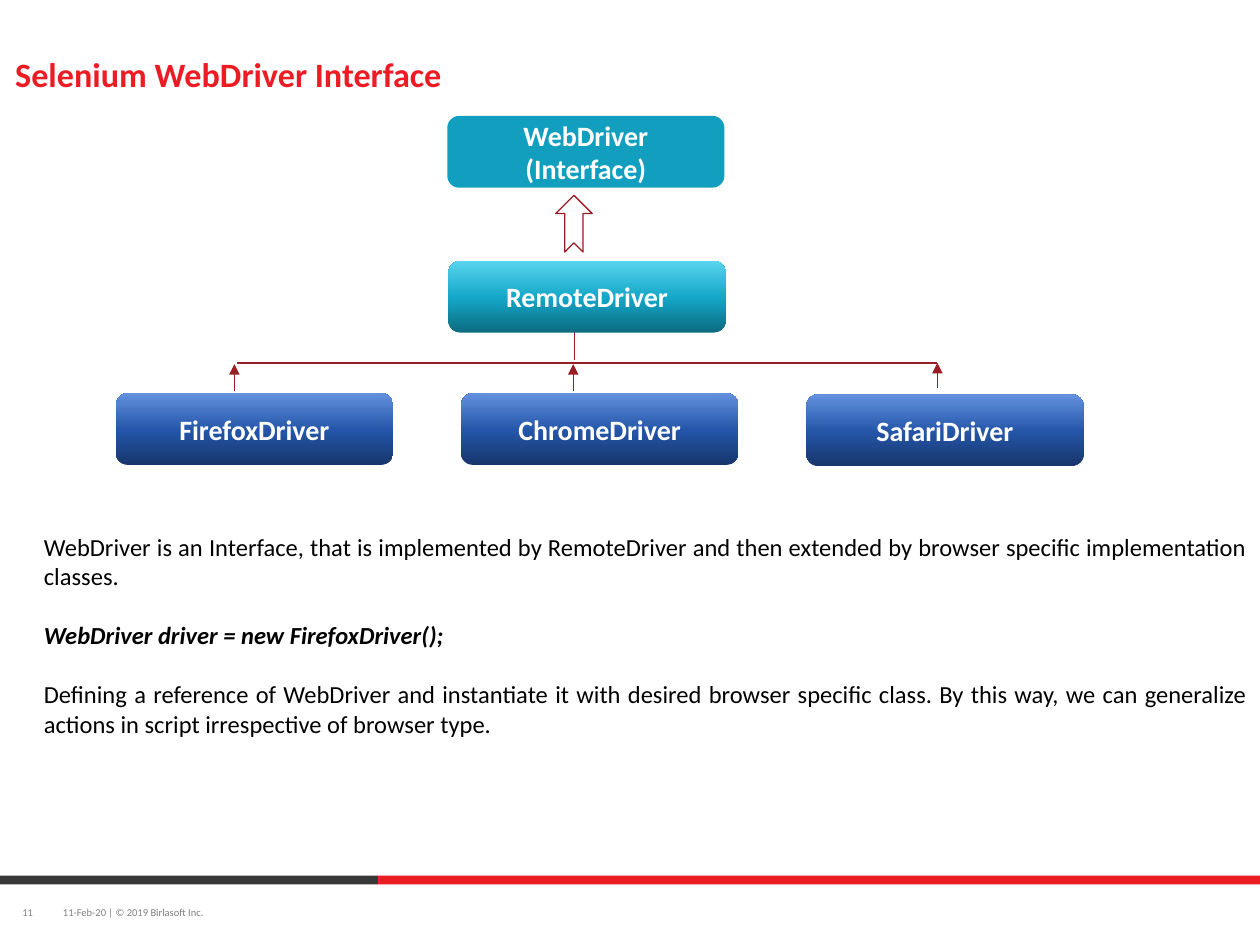
from copy import deepcopy

from pptx import Presentation
from pptx.dml.color import RGBColor
from pptx.enum.shapes import MSO_CONNECTOR, MSO_SHAPE
from pptx.enum.text import MSO_ANCHOR, PP_ALIGN
from pptx.oxml.ns import qn
from pptx.oxml.xmlchemy import OxmlElement
from pptx.util import Inches, Pt

RED = RGBColor(0xED, 0x1C, 0x24)
CHARCOAL = RGBColor(0x38, 0x38, 0x39)
GRAY = RGBColor(0x80, 0x80, 0x80)
BLACK = RGBColor(0, 0, 0)
WHITE = RGBColor(0xFF, 0xFF, 0xFF)
MAROON = RGBColor(0x99, 0x1D, 0x24)
TEAL = RGBColor(0x12, 0x9F, 0xBF)
TEAL_SHADES = [RGBColor(0x0C, 0x6B, 0x80), RGBColor(0x13, 0xA6, 0xC7), RGBColor(0x5A, 0xD4, 0xEF)]
BLUE_SHADES = [RGBColor(0x17, 0x36, 0x6B), RGBColor(0x24, 0x55, 0xA8), RGBColor(0x63, 0x91, 0xDE)]
STOP_POSITIONS = [0, 0.48, 1]

FONT = "Calibri"
DRIVER_WIDTH, DRIVER_HEIGHT = 2.2, 0.57

TITLE = "Selenium WebDriver Interface"
DRIVERS = [
    (["WebDriver", "(Interface)"], 3.55, 0.92, [TEAL]),
    (["RemoteDriver"], 3.56, 2.07, TEAL_SHADES),
    (["FirefoxDriver"], 0.92, 3.12, BLUE_SHADES),
    (["ChromeDriver"], 3.66, 3.12, BLUE_SHADES),
    (["SafariDriver"], 6.4, 3.13, BLUE_SHADES),
]
BRANCHES = [
    ((4.56, 2.63), (4.56, 2.86), False),
    ((1.88, 2.88), (7.44, 2.88), False),
    ((1.86, 3.1), (1.86, 2.89), True),
    ((4.55, 3.1), (4.55, 2.89), True),
    ((7.44, 3.08), (7.44, 2.88), True),
]
EXPLANATION = [
    ("WebDriver is an Interface, that is implemented by RemoteDriver and then extended "
     "by browser specific implementation classes.", False),
    ("WebDriver driver = new FirefoxDriver();", True),
    ("Defining a reference of WebDriver and instantiate it with desired browser specific class. "
     "By this way, we can generalize actions in script irrespective of browser type.", False),
]
FOOTER_BARS = [(0, 3, CHARCOAL), (3, 7, RED)]
FOOTER_TEXTS = [
    ("11-Feb-20 | © 2019 Birlasoft Inc.", 0.5, 1.5, PP_ALIGN.LEFT),
    ("11", 0.12, 0.2, PP_ALIGN.CENTER),
]


def add_span(para, text, size, color, bold=False, italic=False):
    span = para.add_run()
    span.text = text
    span.font.name = FONT
    span.font.size = Pt(size)
    span.font.color.rgb = color
    span.font.bold = bold
    span.font.italic = italic


def add_shape(page, kind, left, top, width, height):
    shape = page.shapes.add_shape(kind, Inches(left), Inches(top), Inches(width), Inches(height))
    shape.shadow.inherit = False
    shape.line.fill.background()
    return shape


def add_text_box(page, left, top, width, height):
    box = page.shapes.add_textbox(Inches(left), Inches(top), Inches(width), Inches(height))
    box.text_frame.word_wrap = True
    return box.text_frame


def add_label(page, text, left, top, width, height, size, color,
              bold=False, align=PP_ALIGN.LEFT, wrap=True):
    frame = add_text_box(page, left, top, width, height)
    frame.word_wrap = wrap
    frame.vertical_anchor = MSO_ANCHOR.MIDDLE
    frame.margin_left = frame.margin_right = frame.margin_top = frame.margin_bottom = 0
    frame.paragraphs[0].alignment = align
    add_span(frame.paragraphs[0], text, size, color, bold)


def fill_shape(shape, shades):
    if len(shades) == 1:
        shape.fill.solid()
        shape.fill.fore_color.rgb = shades[0]
        return
    shape.fill.gradient()
    shape.fill.gradient_angle = 90
    stop_list = shape._element.spPr.find(qn("a:gradFill")).find(qn("a:gsLst"))
    stop_list.append(deepcopy(stop_list[0]))
    for stop, position, shade in zip(shape.fill.gradient_stops, STOP_POSITIONS, shades):
        stop.position = position
        stop.color.rgb = shade


def add_driver(page, lines, left, top, shades):
    box = add_shape(page, MSO_SHAPE.ROUNDED_RECTANGLE, left, top, DRIVER_WIDTH, DRIVER_HEIGHT)
    fill_shape(box, shades)
    frame = box.text_frame
    frame.vertical_anchor = MSO_ANCHOR.MIDDLE
    for index, line in enumerate(lines):
        para = frame.add_paragraph() if index else frame.paragraphs[0]
        para.alignment = PP_ALIGN.CENTER
        add_span(para, line, 16, WHITE, bold=True)


def add_branch(page, start, end, arrow):
    branch = page.shapes.add_connector(MSO_CONNECTOR.STRAIGHT, *map(Inches, start + end))
    branch.line.color.rgb = MAROON
    branch.line.width = Pt(0.75)
    if arrow:
        head = OxmlElement("a:tailEnd")
        head.set("type", "triangle")
        branch.line._get_or_add_ln().append(head)
    branch._element.spPr.append(OxmlElement("a:effectLst"))


def add_explanation(page):
    frame = add_text_box(page, 0.25, 4.17, 9.75, 1.75)
    for index, (text, emphasis) in enumerate(EXPLANATION):
        para = frame.add_paragraph() if index else frame.paragraphs[0]
        para.alignment = PP_ALIGN.JUSTIFY
        if index:
            para.space_before = Pt(17)
        add_span(para, text, 14, BLACK, emphasis, emphasis)


def main():
    deck = Presentation()
    deck.slide_width, deck.slide_height = Inches(10), Inches(7.5)
    page = deck.slides.add_slide(deck.slide_layouts[6])

    for left, width, color in FOOTER_BARS:
        fill_shape(add_shape(page, MSO_SHAPE.RECTANGLE, left, 6.95, width, 0.07), [color])
    for text, left, width, align in FOOTER_TEXTS:
        add_label(page, text, left, 7.14, width, 0.2, 6, GRAY, align=align, wrap=False)

    add_label(page, TITLE, 0.12, 0.25, 9.75, 0.67, 19.5, RED, bold=True)
    add_explanation(page)

    implements_arrow = add_shape(page, MSO_SHAPE.NOTCHED_RIGHT_ARROW, 4.33, 1.63, 0.45, 0.29)
    implements_arrow.rotation = 270
    implements_arrow.fill.background()
    implements_arrow.line.color.rgb = MAROON
    implements_arrow.line.width = Pt(0.75)

    for branch in BRANCHES:
        add_branch(page, *branch)
    for driver in DRIVERS:
        add_driver(page, *driver)

    deck.save("out.pptx")


if __name__ == "__main__":
    main()
